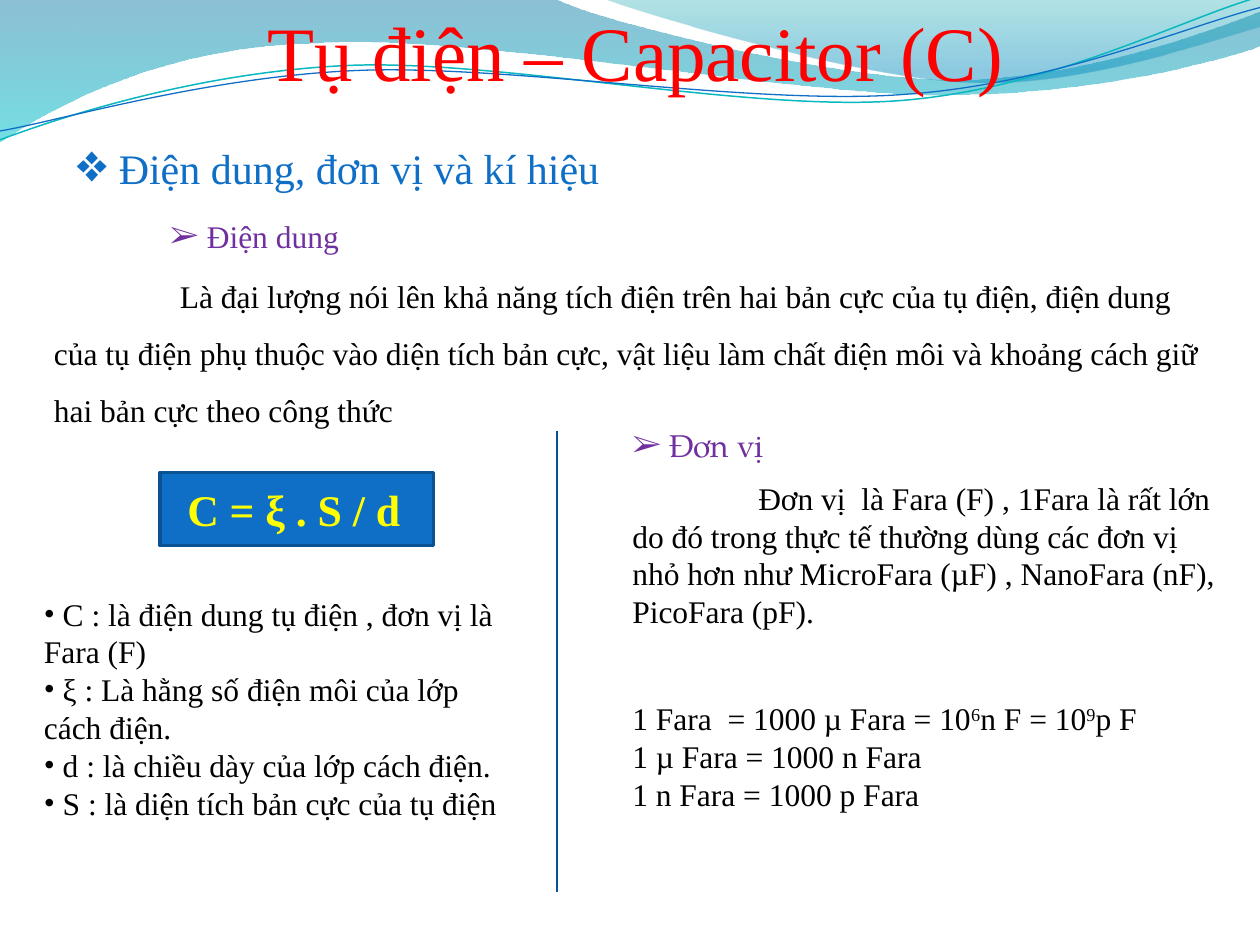
"""Build a slide on capacitance, its units and its formula."""
from lxml import etree
from pptx import Presentation
from pptx.dml.color import RGBColor
from pptx.enum import shapes, text
from pptx.oxml import ns
from pptx.util import Inches, Pt

BLUE, PURPLE, BLACK = "0F6FC6", "7030A0", "000000"
SERIF = "Times New Roman"


def color(value):
    return RGBColor.from_string(value)


def add_text(box, paragraphs, size=18, fill=BLACK, font=SERIF, bold=False,
             bullet=None, indent=0, spacing=None, centered=False):
    frame = slide.shapes.add_textbox(*map(Inches, box)).text_frame
    frame.word_wrap = True
    frame.auto_size = text.MSO_AUTO_SIZE.SHAPE_TO_FIT_TEXT
    frame.text = "\n".join(paragraphs)
    for paragraph in frame.paragraphs:
        pieces = paragraph.text.split("^")
        paragraph.text = pieces[0]
        for piece in pieces[1:]:
            paragraph.add_run().text = piece
        paragraph.line_spacing = spacing
        if centered:
            paragraph.alignment = text.PP_ALIGN.CENTER
        properties = paragraph._p.get_or_add_pPr()
        properties.set("marL", "0")
        properties.set("indent", str(Inches(indent)))
        if bullet:
            etree.SubElement(properties, ns.qn("a:buFont"), typeface=SERIF)
            etree.SubElement(properties, ns.qn("a:buChar"), char=bullet)
        for index, run in enumerate(paragraph.runs):
            run.font.size = Pt(size)
            run.font.name = font
            run.font.bold = bold
            run.font.color.rgb = color(fill)
            if index % 2:
                run._r.get_or_add_rPr().set("baseline", "30000")


presentation = Presentation()
presentation.slide_width, presentation.slide_height = Inches(10), Inches(7.5)
slide = presentation.slides.add_slide(presentation.slide_layouts[6])

waves = [
    ((0, 0), [[(4.4, -0.01)], [(4.76, 0.17), (6.64, 0.63), (7.58, 0.63)],
              [(8.53, 0.63), (9.58, 0.26), (10, 0.09)], [(10.01, 0.36)],
              [(9.83, 0.44), (8.7, 0.76), (7.46, 0.75)],
              [(6.22, 0.75), (3.82, 0.28), (2.57, 0.34)],
              [(1.29, 0.36), (0.46, 0.83), (-0.01, 1.13)]],
     [(0, "0074A1", 45), (1, "00C6CF", 55)], None),
    ((4.79, -0.01), [[(5.09, 0.11), (6.82, 0.62), (7.69, 0.65)],
                     [(8.56, 0.69), (9.61, 0.32), (10, 0.21)], [(10, 0)]],
     [(0, "00A1A9", 30), (0.8, "008BBF", 45)], None),
    ((0, 1.11), [[(0.48, 0.93), (1.58, 0.57), (2.77, 0.52)],
                 [(3.95, 0.47), (5.93, 0.89), (7.13, 0.8)],
                 [(8.33, 0.71), (9.38, 0.15), (9.98, -0.02)]], None, ("0AB8BF", 0.85)),
    ((0, 1.04), [[(0.47, 0.96), (1.64, 0.61), (2.83, 0.56)],
                 [(4.03, 0.51), (5.97, 0.84), (7.17, 0.75)],
                 [(8.36, 0.67), (9.41, 0.21), (10, 0.06)]], None, (BLUE, 0.75)),
]
for start, segments, stops, line in waves:
    builder = slide.shapes.build_freeform(Inches(start[0]), Inches(start[1]))
    for segment in segments:
        builder.add_line_segments([(Inches(x), Inches(y)) for x, y in segment],
                                  close=bool(stops) and segment is segments[-1])
    wave = builder.convert_to_shape()
    wave.shadow.inherit = False
    steps = iter(list(wave._element.iter(ns.qn("a:lnTo"))))
    for segment in segments:
        first, *others = [next(steps) for point in segment]
        if others:
            curve = etree.Element(ns.qn("a:cubicBezTo"))
            first.addprevious(curve)
            for step in [first, *others]:
                curve.append(step[0])
                step.getparent().remove(step)
    if stops:
        wave.line.fill.background()
        wave.fill.gradient()
        wave.fill.gradient_angle = 270
        for stop, (position, value, opacity) in zip(wave.fill.gradient_stops, stops):
            stop.position = position
            stop.color.rgb = color(value)
            rgb = stop._gs.find(ns.qn("a:srgbClr"))
            etree.SubElement(rgb, ns.qn("a:alpha"), val=str(opacity * 1000))
    else:
        wave.fill.background()
        wave.line.color.rgb = color(line[0])
        wave.line.width = Pt(line[1])

formula_box = slide.shapes.add_shape(shapes.MSO_SHAPE.RECTANGLE, Inches(1.27),
                                     Inches(3.75), Inches(2.17), Inches(0.58))
formula_box.shadow.inherit = False
formula_box.fill.solid()
formula_box.fill.fore_color.rgb = color(BLUE)
formula_box.line.color.rgb = color("0B5292")
formula_box.line.width = Pt(2)

add_text((0.67, -0.01, 8.75, 0.84), ["Tụ điện – Capacitor (C)"],
         size=44, fill="FF0000", centered=True)
add_text((0.5, 1.08, 4.5, 0.5), [" Điện dung, đơn vị và kí hiệu"],
         size=24, fill=BLUE, bullet="❖")
add_text((1.25, 1.67, 2.83, 0.42), [" Điện dung"], fill=PURPLE, bullet="➢")
add_text((0.33, 2, 9.33, 1.41), [
    "Là đại lượng nói lên khả năng tích điện trên hai bản cực của tụ điện, "
    "điện dung của tụ điện phụ thuộc vào diện tích bản cực, vật liệu làm chất "
    "điện môi và khoảng cách giữ hai bản cực theo công thức"], indent=1, spacing=1.5)
add_text((1, 3.78, 2.75, 0.52), ["C = ξ . S / d "],
         size=25, fill="FFFF00", bold=True, centered=True)
add_text((0.25, 4.67, 3.83, 1.92), [
    " C : là điện dung tụ điện , đơn vị là Fara (F)",
    " ξ : Là hằng số điện môi của lớp cách điện.",
    " d : là chiều dày của lớp cách điện.",
    " S : là diện tích bản cực của tụ điện"], bullet="•")
add_text((4.92, 3.33, 2.83, 0.4), [" Đơn vị"],
         fill=PURPLE, font="TeX Gyre Pagella", bullet="➢")
add_text((4.92, 3.75, 4.83, 1.31), [
    "Đơn vị  là Fara (F) , 1Fara là rất lớn do đó trong thực tế thường dùng "
    "các đơn vị nhỏ hơn như MicroFara (µF) , NanoFara (nF), PicoFara (pF)."], indent=1)
add_text((4.92, 5.5, 4.83, 1.31), [
    "1 Fara  = 1000 µ Fara = 10^6^n F = 10^9^p F",
    "1 µ Fara = 1000 n Fara",
    "1 n Fara = 1000 p Fara"])

divider = slide.shapes.add_connector(shapes.MSO_CONNECTOR.STRAIGHT, Inches(4.42),
                                     Inches(3.42), Inches(4.42), Inches(7.08))
divider.line.color.rgb = color("095295")
divider.line.width = Pt(0.75)
etree.SubElement(divider._element.spPr, ns.qn("a:effectLst"))

presentation.save("out.pptx")
